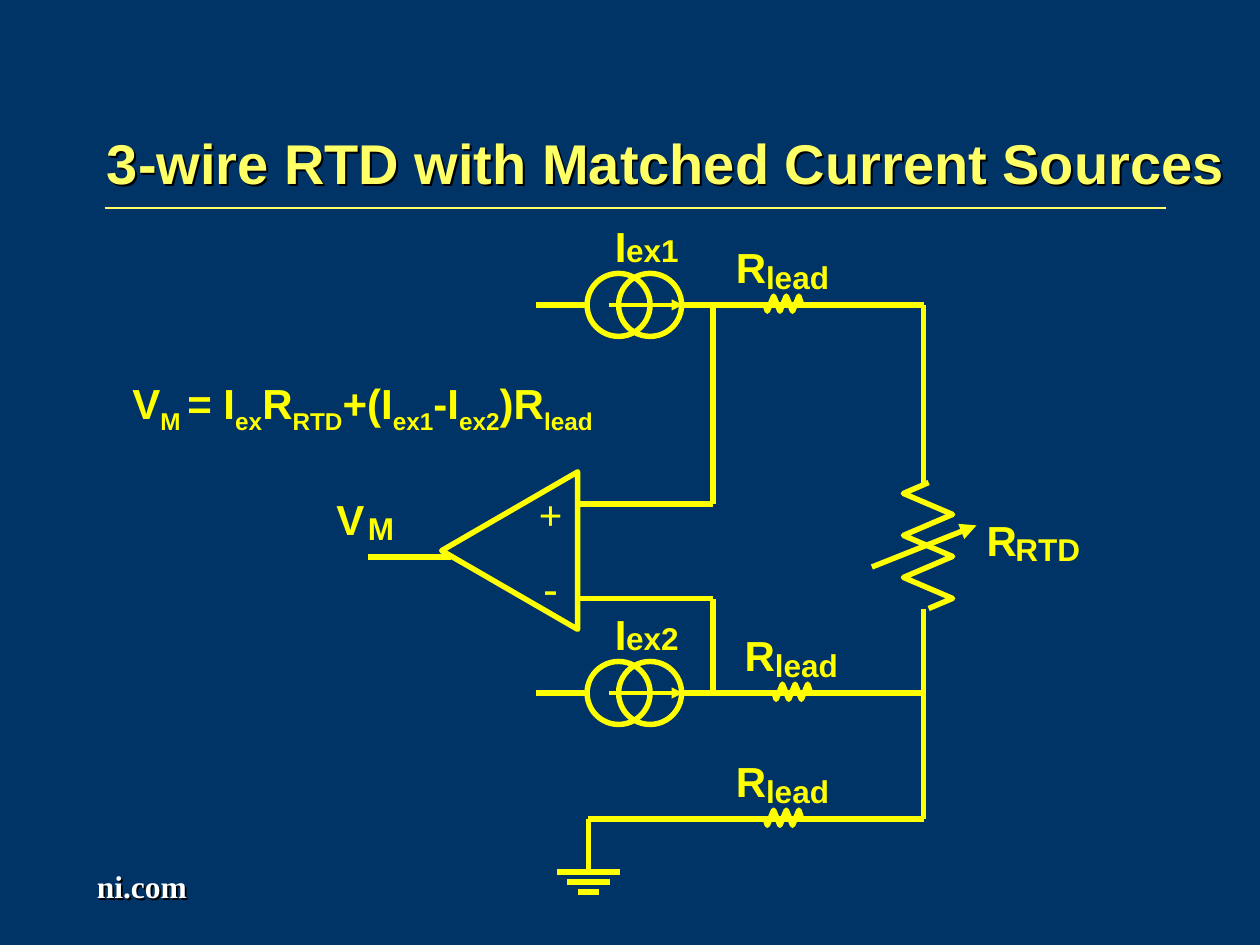
from lxml import etree
from pptx import Presentation
from pptx.dml.color import RGBColor
from pptx.enum.shapes import MSO_CONNECTOR, MSO_SHAPE
from pptx.enum.text import MSO_ANCHOR, PP_ALIGN
from pptx.oxml.ns import qn
from pptx.util import Inches, Pt

NAVY = RGBColor(0x00, 0x33, 0x66)
YELLOW = RGBColor(0xFF, 0xFF, 0x00)
PALE_YELLOW = RGBColor(0xFF, 0xFF, 0x66)
WHITE = RGBColor(0xFF, 0xFF, 0xFF)
STRAIGHT = MSO_CONNECTOR.STRAIGHT
OVAL, TRIANGLE = MSO_SHAPE.OVAL, MSO_SHAPE.ISOSCELES_TRIANGLE
LEFT, CENTER = PP_ALIGN.LEFT, PP_ALIGN.CENTER
TOP, MIDDLE = MSO_ANCHOR.TOP, MSO_ANCHOR.MIDDLE
WIRE = 3.12

# Horizontal levels and vertical rails of the circuit
TOP_Y, PLUS_Y, MINUS_Y, LOWER_Y, GROUND_Y = 2.42, 4, 4.75, 5.5, 6.5
SENSE_X, RTD_X, GROUND_X = 5.66, 7.33, 4.67


def add_text(slide, text, box, size=24, font="Arial", color=YELLOW, bold=True,
             align=LEFT, anchor=TOP, inset=(0, 0), shadow=False):
    """Text is a string or a list of (string, is_subscript) runs."""
    label = slide.shapes.add_textbox(*map(Inches, box))
    frame = label.text_frame
    frame.word_wrap = True
    frame.vertical_anchor = anchor
    frame.margin_left = frame.margin_right = Inches(inset[0])
    frame.margin_top = frame.margin_bottom = Inches(inset[1])
    paragraph = frame.paragraphs[0]
    paragraph.alignment = align
    for part, subscript in [(text, False)] if isinstance(text, str) else text:
        run = paragraph.add_run()
        run.text = part
        run.font.size, run.font.name, run.font.bold = Pt(size), font, bold
        run.font.color.rgb = color
        if subscript:
            run.font._element.set("baseline", "-25000")
    if shadow:
        effects = etree.SubElement(label._element.spPr, qn("a:effectLst"))
        drop = etree.SubElement(effects, qn("a:outerShdw"), dist="19050", dir="2700000")
        etree.SubElement(drop, qn("a:srgbClr"), val="000000")


def add_wire(slide, start, end, width=WIRE, color=YELLOW, arrow=False):
    wire = slide.shapes.add_connector(STRAIGHT, *map(Inches, (*start, *end)))
    wire.line.color.rgb = color
    wire.line.width = Pt(width)
    if arrow:
        etree.SubElement(wire.line._get_or_add_ln(), qn("a:tailEnd"), type="triangle")
    etree.SubElement(wire._element.spPr, qn("a:effectLst"))


def style_outline(shape):
    shape.shadow.inherit = False
    shape.fill.background()
    shape.line.color.rgb = YELLOW
    shape.line.width = Pt(WIRE)


def add_outline(slide, preset, box, rotation=0):
    shape = slide.shapes.add_shape(preset, *map(Inches, box))
    shape.rotation = rotation
    style_outline(shape)


def add_zigzag(slide, points):
    corners = [(Inches(x), Inches(y)) for x, y in points]
    builder = slide.shapes.build_freeform(*corners[0])
    builder.add_line_segments(corners[1:], close=False)
    style_outline(builder.convert_to_shape())


def add_label(slide, letter, suffix, x, y, gap, drop):
    """A large letter followed by a smaller, lowered suffix."""
    add_text(slide, letter, (x, y, gap + 0.02, 0.4))
    add_text(slide, suffix, (x + gap, y + drop, 0.6, 0.3), size=18)


def add_current_source(slide, name, y):
    add_wire(slide, (4.83, y), (5.42, y), width=2.13, arrow=True)
    add_label(slide, "I", name, 4.88, y - 0.67, 0.09, 0.08)
    for x in (4.66, 4.91):
        add_outline(slide, OVAL, (x, y - 0.25, 0.5, 0.5))
    add_wire(slide, (4.66, y), (4.25, y))


def add_lead_resistor(slide, x, wire_y):
    y = wire_y - 0.01
    teeth = [(x + 0.02 + 0.05 * i, y - 0.06 if i % 2 else y + 0.06) for i in range(6)]
    add_zigzag(slide, [(x, y), *teeth, (x + 0.29, y)])
    add_label(slide, "R", "lead", x - 0.23, wire_y - 0.5, 0.24, 0.13)


def add_amplifier(slide):
    add_outline(slide, TRIANGLE, (3.42, 3.83, 1.25, 1.08), rotation=270)
    for sign, y in (("+", 3.83), ("-", 4.41)):
        add_text(slide, sign, (4.08, y, 0.58, 0.5), font="Times New Roman",
                 align=CENTER, inset=(0.1, 0.05))
    add_wire(slide, (3.58, 4.42), (2.92, 4.42))
    add_label(slide, "V", "M", 2.67, 3.92, 0.25, 0.12)


def add_rtd(slide):
    turns = [(7.17 if i % 2 else 7.56, 4.75 - i / 6) for i in range(6)]
    add_zigzag(slide, [(7.37, 4.83), *turns, (7.37, 3.83)])
    add_wire(slide, (6.92, 4.5), (7.75, 4.17), arrow=True)
    add_label(slide, "R", "RTD", 7.83, 4.08, 0.23, 0.13)


def add_wiring(slide):
    # Lead wires and the rail through the sensor
    for left, y in ((5.41, TOP_Y), (5.41, LOWER_Y), (GROUND_X, GROUND_Y)):
        add_wire(slide, (left, y), (RTD_X, y))
    add_wire(slide, (RTD_X, TOP_Y), (RTD_X, 3.83))
    add_wire(slide, (RTD_X, 4.83), (RTD_X, GROUND_Y))
    # Sense wires to the amplifier inputs
    for input_y, lead_y in ((PLUS_Y, TOP_Y), (MINUS_Y, LOWER_Y)):
        add_wire(slide, (SENSE_X, input_y), (4.58, input_y))
        add_wire(slide, (SENSE_X, input_y), (SENSE_X, lead_y))
    # Ground symbol
    add_wire(slide, (GROUND_X, GROUND_Y), (GROUND_X, 6.92))
    for half, y in ((0.25, 6.92), (0.17, 7), (0.08, 7.08)):
        add_wire(slide, (GROUND_X - half, y), (GROUND_X + half, y))


def main():
    deck = Presentation()
    deck.slide_width, deck.slide_height = Inches(10), Inches(7.5)
    slide = deck.slides.add_slide(deck.slide_layouts[6])
    slide.background.fill.solid()
    slide.background.fill.fore_color.rgb = NAVY

    # Title, rule and footer
    add_wire(slide, (0.83, 1.65), (9.25, 1.65), width=1, color=PALE_YELLOW)
    add_text(slide, "ni.com", (0.67, 6.83, 1.1, 0.4), size=18, color=WHITE,
             font="Times New Roman", inset=(0.1, 0.05), shadow=True)
    add_text(slide, "3-wire RTD with Matched Current Sources", (0.75, 1, 9.08, 0.58),
             size=32, color=PALE_YELLOW, anchor=MIDDLE, inset=(0.1, 0.05), shadow=True)

    # Circuit
    add_wiring(slide)
    for name, y in (("ex1", TOP_Y), ("ex2", LOWER_Y)):
        add_current_source(slide, name, y)
    for x, y in ((6.07, TOP_Y), (6.14, LOWER_Y), (6.07, GROUND_Y)):
        add_lead_resistor(slide, x, y)
    add_amplifier(slide)
    add_rtd(slide)

    # Formula: every second part is a subscript
    parts = ["V", "M ", "= I", "ex", "R", "RTD", "+(I", "ex1", "-I", "ex2", ")R", "lead"]
    add_text(slide, [(part, i % 2 == 1) for i, part in enumerate(parts)],
             (1.05, 3, 3.8, 0.46))

    deck.save("out.pptx")


if __name__ == "__main__":
    main()
